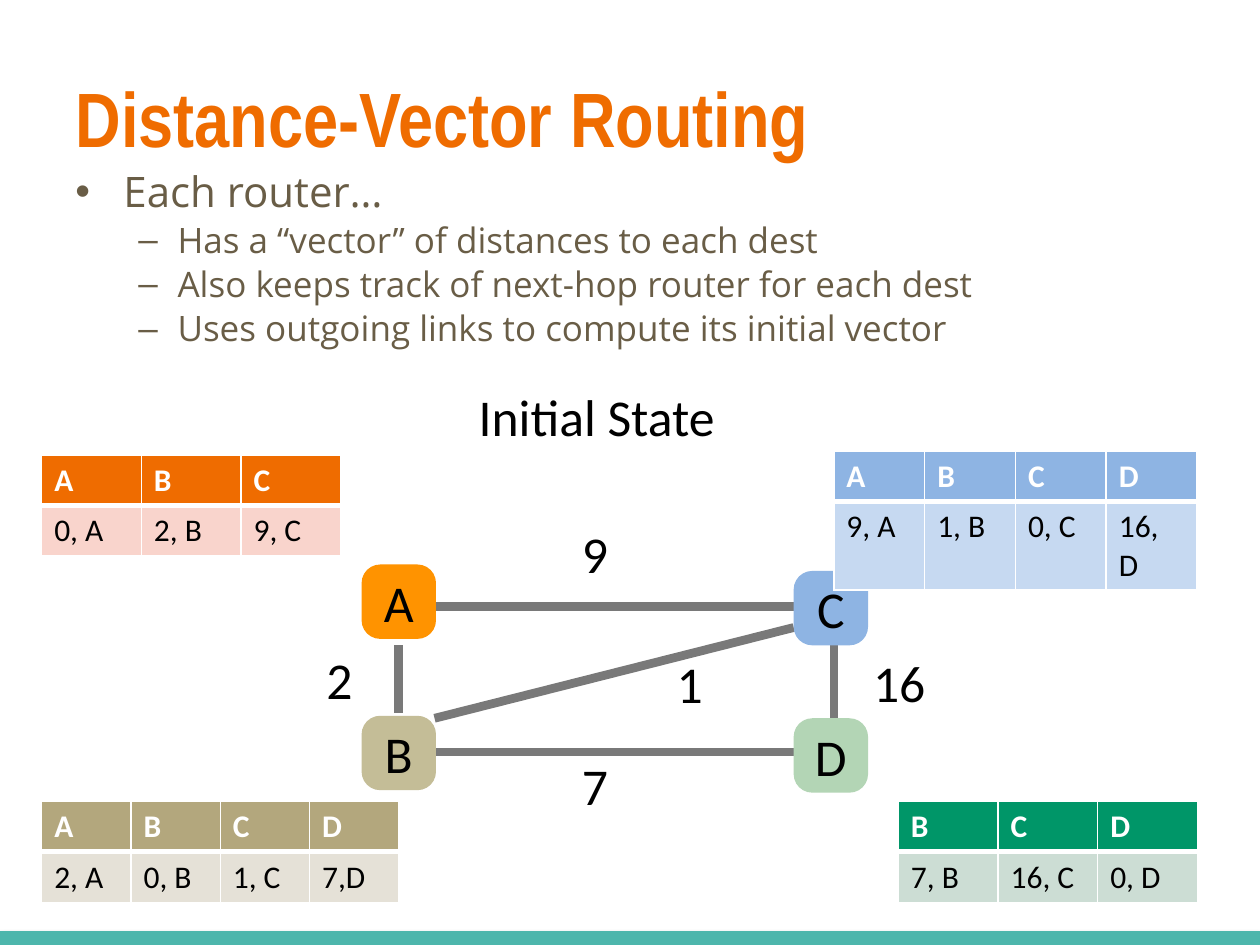
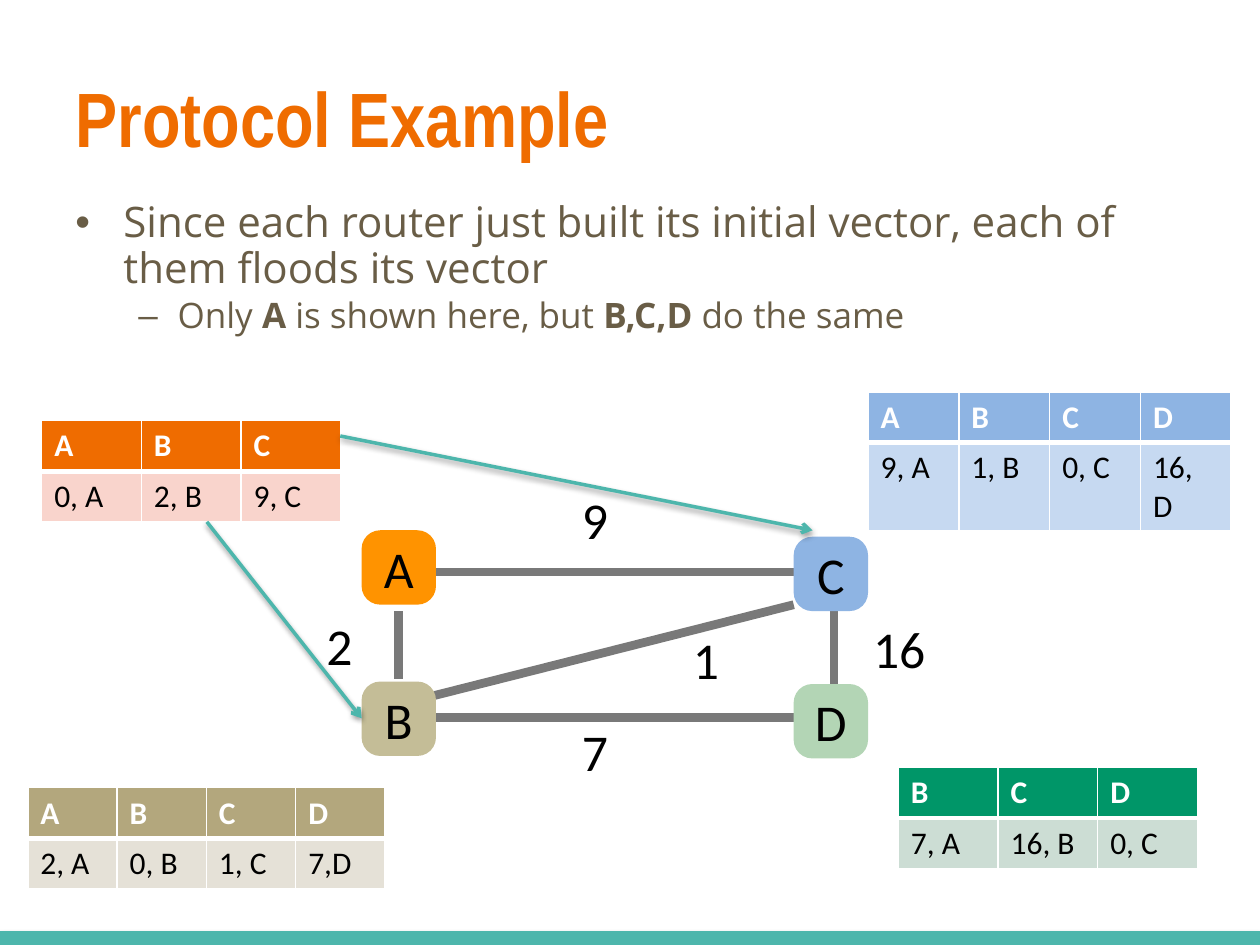
from lxml.etree import SubElement
from pptx import Presentation
from pptx.dml.color import RGBColor
from pptx.enum.shapes import MSO_CONNECTOR, MSO_SHAPE
from pptx.enum.text import MSO_ANCHOR, PP_ALIGN
from pptx.oxml import parse_xml
from pptx.oxml.ns import nsdecls, qn
from pptx.util import Cm, Pt

COLORS = {
    "title": "EF6C00", "body": "695D46", "accent": "4DB6AC", "link": "797979",
    "black": "000000", "white": "FFFFFF",
}
NODE_COLORS = {"A": "FF9300", "B": "C4BD97", "C": "8EB4E3", "D": "B3D5B5"}
TABLE_COLORS = {
    "A": ("EF6C00", "F9D4CC"), "B": ("B3A77D", "E5E1D7"),
    "C": ("8EB4E3", "C6D9F1"), "D": ("009668", "CCDDD4"),
}
COLUMN_WIDTHS = {"A": 2.01, "B": 1.8, "C": 1.83, "D": 2.01}
ROW_HEIGHT = 1.02
NODE_SIZE = 1.5
NODES = {"A": (7.29, 0), "B": (7.29, 3.05), "C": (16, 0.13), "D": (16, 3.1)}
LINKS = [
    (8.03, 1.63, 8.03, 3),
    (8.74, 3.78, 16, 3.78),
    (16.81, 1.63, 16.81, 3.1),
    (8.76, 0.84, 16, 0.84),
]
COSTS = [("7", 11.63, 3.71), ("2", 6.48, 1.57), ("16", 17.5, 1.63), ("9", 11.63, -0.97)]
BULLETS = [("•", 24, 0.97, 0.97), ("–", 20, 2.06, 0.79)]


def rgb(color):
    return RGBColor.from_string(color)


def add_span(para, text, size, font, color, bold=False):
    span = para.add_run()
    span.text = text
    span.font.size = Pt(size)
    span.font.name = font
    span.font.bold = bold
    span.font.color.rgb = rgb(color)


def set_insets(frame, inset):
    frame.margin_left = frame.margin_right = Cm(inset)
    frame.margin_top = frame.margin_bottom = Cm(inset)
    frame.vertical_anchor = MSO_ANCHOR.MIDDLE


def add_line(page, start_x, start_y, end_x, end_y, color, width, shadow=False, arrow=False):
    line = page.shapes.add_connector(
        MSO_CONNECTOR.STRAIGHT, Cm(start_x), Cm(start_y), Cm(end_x), Cm(end_y))
    line.line.color.rgb = rgb(color)
    line.line.width = Pt(width)
    if arrow:
        SubElement(line.line._get_or_add_ln(), qn("a:tailEnd"), type="arrow")
    effects = SubElement(line._element.spPr, qn("a:effectLst"))
    if shadow:
        effects.append(parse_xml(
            f'<a:outerShdw {nsdecls("a")} blurRad="40000" dist="20000" dir="5400000" '
            'rotWithShape="0"><a:srgbClr val="000000"><a:alpha val="38000"/>'
            '</a:srgbClr></a:outerShdw>'))


def add_page(deck, heading):
    page = deck.slides.add_slide(deck.slide_layouts[5])
    add_line(page, 0, 18.95, 25.4, 18.95, COLORS["accent"], 10, shadow=True)
    title = page.shapes.title
    title.left, title.top, title.width, title.height = Cm(1.27), Cm(0.76), Cm(22.86), Cm(3.18)
    title.text_frame.vertical_anchor = MSO_ANCHOR.MIDDLE
    para = title.text_frame.paragraphs[0]
    para.alignment = PP_ALIGN.LEFT
    add_span(para, heading, 44, "Arial Narrow", COLORS["title"], bold=True)
    return page


def add_bullets(page, top, height, items):
    box = page.shapes.add_textbox(Cm(1.27), Cm(top), Cm(22.86), Cm(height))
    frame = box.text_frame
    frame.word_wrap = True
    for number, (level, spans) in enumerate(items):
        para = frame.add_paragraph() if number else frame.paragraphs[0]
        mark, size, margin, hanging = BULLETS[level]
        para.level = level
        para.line_spacing = 0.9
        para.space_before = Pt(size * 0.18)
        properties = para._p.get_or_add_pPr()
        properties.set("marL", str(Cm(margin)))
        properties.set("indent", str(-Cm(hanging)))
        SubElement(properties, qn("a:buFont"), typeface="Arial")
        SubElement(properties, qn("a:buChar"), char=mark)
        for text, bold in spans:
            add_span(para, text, size, "Open Sans", COLORS["body"], bold)


def add_label(page, text, left, top, width):
    box = page.shapes.add_textbox(Cm(left), Cm(top), Cm(width), Cm(1.47))
    set_insets(box.text_frame, 0.1)
    add_span(box.text_frame.paragraphs[0], text, 29.5, "Calibri", COLORS["black"])


def add_node(page, name, left, top):
    node = page.shapes.add_shape(
        MSO_SHAPE.ROUNDED_RECTANGLE, Cm(left), Cm(top), Cm(NODE_SIZE), Cm(NODE_SIZE))
    node.adjustments[0] = 0.25
    node.shadow.inherit = False
    node.fill.solid()
    node.fill.fore_color.rgb = rgb(NODE_COLORS[name])
    node.line.fill.background()
    set_insets(node.text_frame, 0)
    para = node.text_frame.paragraphs[0]
    para.alignment = PP_ALIGN.CENTER
    add_span(para, name, 29.5, "Calibri", COLORS["black"])


def add_network(page, top, diagonal, unit_cost):
    start, end = diagonal
    for start_x, start_y, end_x, end_y in LINKS + [(8.76, start, 16, end)]:
        add_line(page, start_x, top + start_y, end_x, top + end_y, COLORS["link"], 5)
    for name, (left, offset) in NODES.items():
        add_node(page, name, left, top + offset)
    for text, left, offset in COSTS + [("1", *unit_cost)]:
        add_label(page, text, left, top + offset, 0.74 if len(text) == 1 else 1.27)


def set_borders(cell, bottom_width):
    properties = cell._tc.get_or_add_tcPr()
    widths = {"lnL": 1, "lnR": 1, "lnT": 1, "lnB": bottom_width}
    for position, (side, width) in enumerate(widths.items()):
        properties.insert(position, parse_xml(
            f'<a:{side} {nsdecls("a")} w="{Pt(width)}"><a:solidFill>'
            f'<a:srgbClr val="{COLORS["white"]}"/></a:solidFill></a:{side}>'))


def add_vector(page, router, left, top, destinations, distances):
    width = COLUMN_WIDTHS[router]
    table = page.shapes.add_table(
        2, len(destinations), Cm(left), Cm(top),
        Cm(width * len(destinations)), Cm(2 * ROW_HEIGHT)).table
    table.first_row = table.horz_banding = False
    for column in table.columns:
        column.width = Cm(width)
    for row, texts in enumerate((destinations, distances)):
        for column, text in enumerate(texts):
            cell = table.cell(row, column)
            cell.fill.solid()
            cell.fill.fore_color.rgb = rgb(TABLE_COLORS[router][row])
            set_borders(cell, 1 if row else 3)
            color = COLORS["black" if row else "white"]
            add_span(cell.text_frame.paragraphs[0], text, 18, "Calibri", color, bold=row == 0)


def build_initial_state(deck):
    page = add_page(deck, "Distance-Vector Routing")
    add_bullets(page, 3.33, 6, [
        (0, [("Each router…", False)]),
        (1, [("Has a “vector” of distances to each dest", False)]),
        (1, [("Also keeps track of next-hop router for each dest", False)]),
        (1, [("Uses outgoing links to compute its initial vector", False)]),
    ])
    add_network(page, 11.38, (3.1, 1.27), (13.54, 1.65))
    add_label(page, "Initial State", 9.55, 7.65, 5.18)
    add_vector(page, "A", 0.84, 9.17, "ABC", ["0, A", "2, B", "9, C"])
    add_vector(page, "C", 16.81, 9.09, "ABCD", ["9, A", "1, B", "0, C", "16, D"])
    add_vector(page, "B", 0.84, 16.15, "ABCD", ["2, A", "0, B", "1, C", "7,D"])
    add_vector(page, "D", 18.11, 16.15, "BCD", ["7, B", "16, C", "0, D"])


def build_example(deck):
    page = add_page(deck, "Protocol Example")
    add_bullets(page, 3.94, 4, [
        (0, [("Since each router just built its initial vector, "
              "each of them floods its vector", False)]),
        (1, [("Only ", False), ("A", True), (" is shown here, but ", False),
             ("B,C,D", True), (" do the same", False)]),
    ])
    add_network(page, 10.69, (3.33, 1.5), (13.87, 1.85))
    add_vector(page, "A", 0.84, 8.48, "ABC", ["0, A", "2, B", "9, C"])
    add_vector(page, "D", 18.11, 15.47, "BCD", ["7, A", "16, B", "0, C"])
    for ends in [(6.86, 8.79, 16.38, 10.69), (4.17, 10.52, 7.29, 14.48)]:
        add_line(page, *ends, COLORS["accent"], 2, shadow=True, arrow=True)
    add_vector(page, "B", 0.56, 15.88, "ABCD", ["2, A", "0, B", "1, C", "7,D"])
    add_vector(page, "C", 17.5, 7.9, "ABCD", ["9, A", "1, B", "0, C", "16, D"])


def main():
    deck = Presentation()
    deck.slide_width, deck.slide_height = Cm(25.4), Cm(19.05)
    build_initial_state(deck)
    build_example(deck)
    deck.save("out.pptx")


main()
